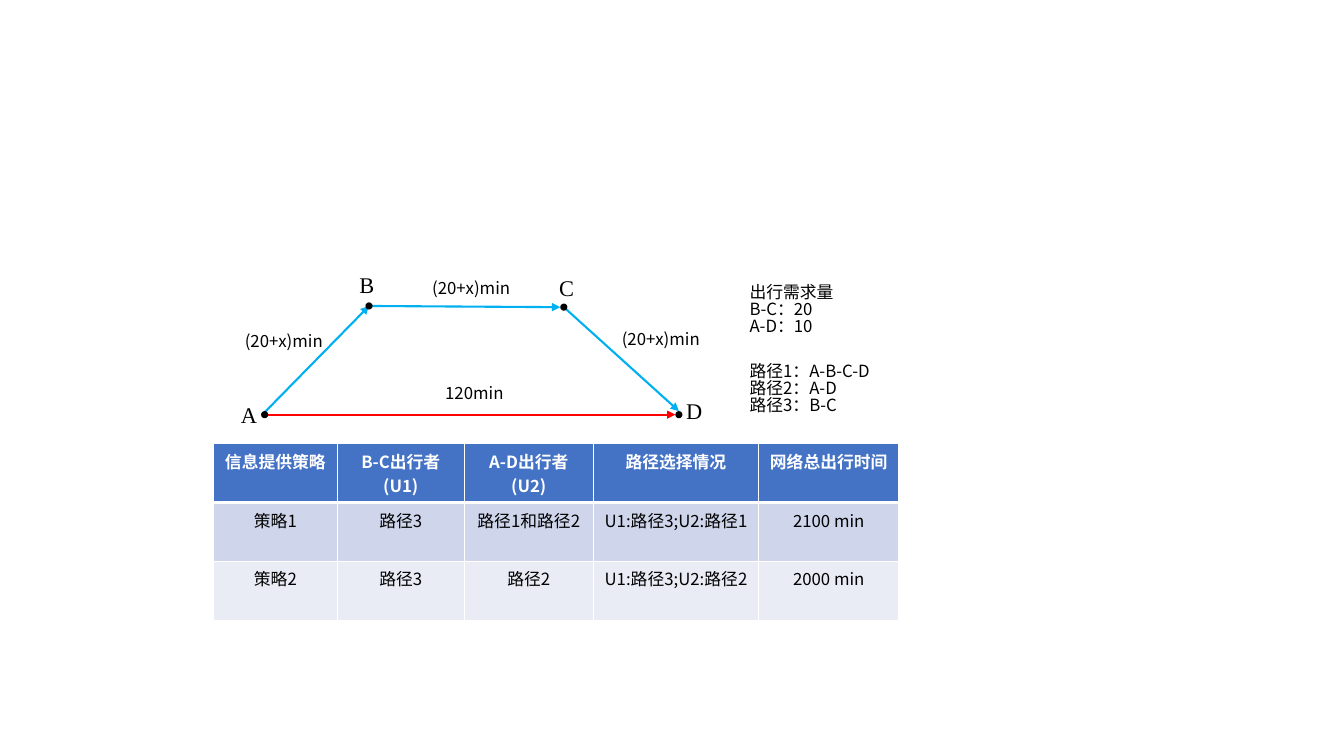
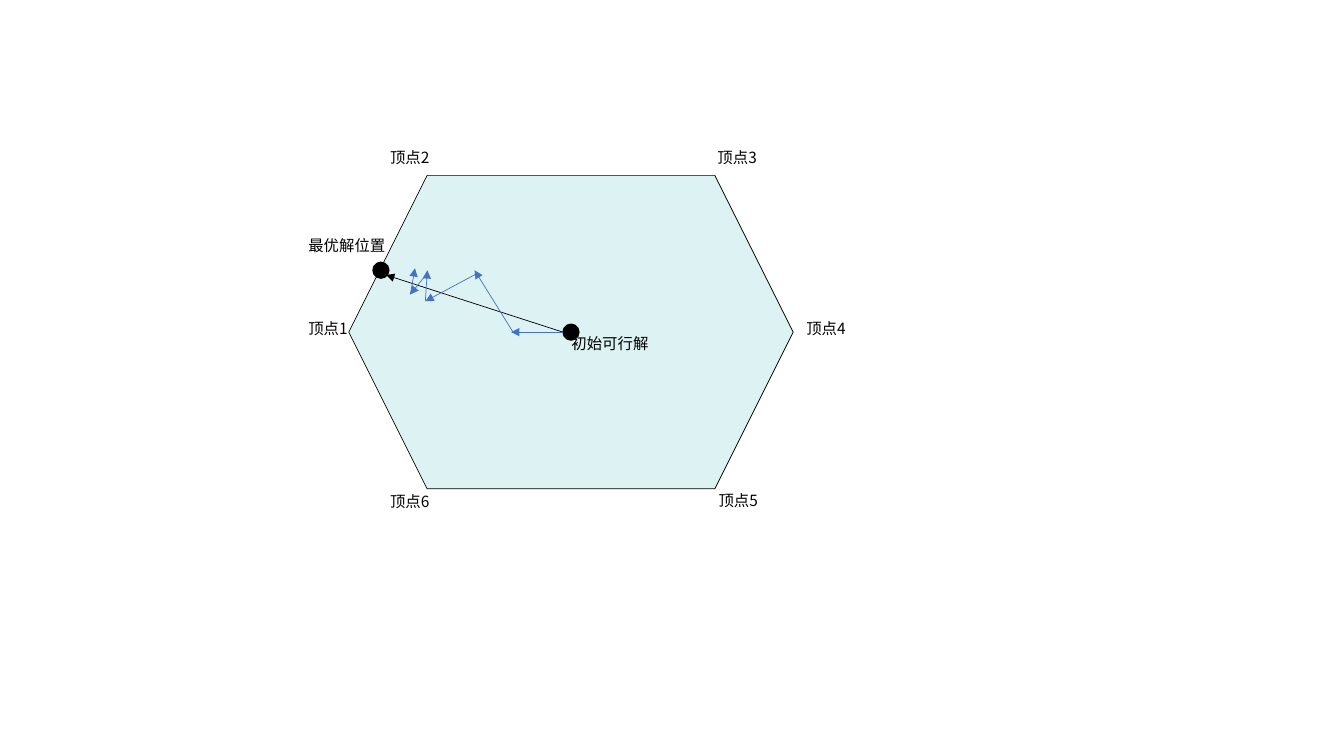
from lxml.etree import SubElement
from pptx import Presentation
from pptx.dml.color import RGBColor
from pptx.enum.shapes import MSO_CONNECTOR, MSO_SHAPE
from pptx.enum.text import MSO_AUTO_SIZE, PP_ALIGN
from pptx.oxml.ns import qn
from pptx.util import Cm, Pt

SANS = "Noto Sans CJK SC"
SERIF = "Times New Roman"
BLACK, WHITE = "000000", "FFFFFF"
BLUE, SKY, RED = "4472C4", "00B0F0", "FF0000"
PALE_TEAL = "DDF2F3"
ROW_FILLS = [BLUE, "CFD5EA", "E9EBF5"]
SANS_SPACING = 0.84


def colour(value):
    return RGBColor.from_string(value)


def style_paragraph(para, size, font=SANS, text_colour=BLACK, bold=False):
    para.font.name = font
    para.font.size = Pt(size)
    para.font.bold = bold
    para.font.color.rgb = colour(text_colour)
    properties = para._p.pPr.find(qn("a:defRPr"))
    SubElement(properties, qn("a:ea")).set("typeface", font)


def add_label(page, left, top, width, height, lines, size, font=SANS):
    box = page.shapes.add_textbox(Cm(left), Cm(top), Cm(width), Cm(height))
    frame = box.text_frame
    frame.word_wrap = True
    frame.auto_size = MSO_AUTO_SIZE.SHAPE_TO_FIT_TEXT
    frame.text = "\n".join(lines)
    for para in frame.paragraphs:
        style_paragraph(para, size, font)
        if font == SANS:
            para.line_spacing = SANS_SPACING


def add_outline(page, kind, left, top, width, height, fill, line_width=0):
    """Add a filled preset shape with a black line, or none at width 0."""
    shape = page.shapes.add_shape(kind, Cm(left), Cm(top), Cm(width), Cm(height))
    shape.shadow.inherit = False
    shape.fill.solid()
    shape.fill.fore_color.rgb = colour(fill)
    if line_width:
        shape.line.color.rgb = colour(BLACK)
        shape.line.width = Pt(line_width)
    else:
        shape.line.fill.background()


def add_dot(page, x, y, radius, line_width=0):
    add_outline(page, MSO_SHAPE.OVAL, x - radius, y - radius,
                2 * radius, 2 * radius, BLACK, line_width)


def add_arrow(page, start, end, line_colour, width):
    arrow = page.shapes.add_connector(
        MSO_CONNECTOR.STRAIGHT, *(Cm(value) for value in (*start, *end)))
    arrow.line.color.rgb = colour(line_colour)
    arrow.line.width = Pt(width)
    SubElement(arrow.line._get_or_add_ln(), qn("a:tailEnd")).set("type", "triangle")
    SubElement(arrow.element.spPr, qn("a:effectLst"))


def add_cell_borders(cell, bottom_width):
    properties = cell._tc.get_or_add_tcPr()
    widths = {"a:lnL": 1, "a:lnR": 1, "a:lnT": 1, "a:lnB": bottom_width}
    for position, (side, width) in enumerate(widths.items()):
        border = SubElement(properties, qn(side), w=str(Pt(width)))
        fill = SubElement(border, qn("a:solidFill"))
        SubElement(fill, qn("a:srgbClr")).set("val", WHITE)
        properties.insert(position, border)


def add_strategy_table(page, left, top):
    widths = [3.12, 3.2, 3.25, 4.17, 3.53]
    row_height = 0.58
    rows = [
        ["信息提供策略", "B-C出行者(U1)", "A-D出行者(U2)", "路径选择情况", "网络总出行时间"],
        ["策略1", "路径3", "路径1和路径2", "U1:路径3;U2:路径1", "2100 min"],
        ["策略2", "路径3", "路径2", "U1:路径3;U2:路径2", "2000 min"],
    ]
    table = page.shapes.add_table(
        len(rows), len(widths), Cm(left), Cm(top),
        Cm(sum(widths)), Cm(row_height * len(rows))).table
    for column, width in zip(table.columns, widths):
        column.width = Cm(width)
    for row_index, texts in enumerate(rows):
        header = row_index == 0
        table.rows[row_index].height = Cm(row_height)
        for column_index, text in enumerate(texts):
            cell = table.cell(row_index, column_index)
            cell.text = text
            cell.fill.solid()
            cell.fill.fore_color.rgb = colour(ROW_FILLS[row_index])
            add_cell_borders(cell, 3 if header else 1)
            para = cell.text_frame.paragraphs[0]
            para.alignment = PP_ALIGN.CENTER
            style_paragraph(para, 12, text_colour=WHITE if header else BLACK,
                            bold=header)


def add_network(page, left, top):
    """Draw the four-node road network with its demand and route lists."""
    radius = 0.09
    nodes = {"A": (0.87, 3.75), "B": (3.5, 1.01),
             "C": (8.41, 1.04), "D": (11.31, 3.75)}
    letters = {"A": (0.02, 3.28), "B": (3.01, 0.01),
               "C": (8.04, 0.08), "D": (11.24, 3.18)}
    links = [
        ("A", "B", SKY, (-0.06, 0), (0, 0)),
        ("B", "C", SKY, (0, 0), (-radius, 0)),
        ("C", "D", SKY, (0, 0), (0, -radius)),
        ("A", "D", RED, (radius, 0), (-radius, 0)),
    ]
    captions = [
        (5.17, 2.9, 2.06, 0.76, ["120min"]),
        (0.12, 1.58, 2.69, 0.76, ["(20+x)min"]),
        (4.84, 0.26, 2.69, 0.76, ["(20+x)min"]),
        (9.62, 1.53, 2.69, 0.76, ["(20+x)min"]),
        (12.84, 0.36, 3.33, 1.8, ["出行需求量", "B-C：20", "A-D：10"]),
        (12.84, 2.34, 3.53, 1.8, ["路径1：A-B-C-D", "路径2：A-D", "路径3：B-C"]),
    ]

    def link_end(name, offset):
        x, y = nodes[name]
        return left + x + offset[0], top + y + offset[1]

    for origin, target, line_colour, start_offset, end_offset in links:
        add_arrow(page, link_end(origin, start_offset),
                  link_end(target, end_offset), line_colour, 1.5)
    for name, (x, y) in nodes.items():
        add_dot(page, left + x, top + y, radius)
        letter_x, letter_y = letters[name]
        add_label(page, left + letter_x, top + letter_y, 0.69, 0.94,
                  [name], 16, SERIF)
    for x, y, width, height, lines in captions:
        add_label(page, left + x, top + y, width, height, lines, 12)


def add_feasible_region(page, left, top, width, height):
    """Draw the hexagon, its vertex names and the search towards the optimum."""
    dot_radius = 0.2
    vertex_labels = [(-1.27, 3.58), (0.79, -0.74), (9.04, -0.74),
                     (11.28, 3.58), (9.07, 7.9), (0.79, 7.92)]
    point_labels = [("初始可行解", 5.36, 3.94), ("最优解位置", -1.27, 1.47)]
    start = (width / 2, height / 2)
    optimum = (0.81, 2.39)
    departure = (start[0] - dot_radius, start[1])
    direct = (departure, (0.94, 2.51))
    steps = [
        (departure, (4.09, 3.95)),
        ((4.14, 3.95), (3.17, 2.39)),
        ((3.2, 2.49), (1.93, 3.17)),
        ((1.93, 3.17), (1.98, 2.39)),
        ((1.98, 2.46), (1.55, 3)),
        ((1.55, 3), (1.67, 2.34)),
    ]

    def place(point):
        return left + point[0], top + point[1]

    add_outline(page, MSO_SHAPE.HEXAGON, left, top, width, height, PALE_TEAL, 0.5)
    for number, point in enumerate(vertex_labels, 1):
        add_label(page, *place(point), 1.52, 0.74, [f"顶点{number}"], 11)
    for point in (start, optimum):
        add_dot(page, *place(point), dot_radius, 1)
    for text, x, y in point_labels:
        add_label(page, *place((x, y)), 2.62, 0.74, [text], 11)
    add_arrow(page, *map(place, direct), BLACK, 0.5)
    for step in steps:
        add_arrow(page, *map(place, step), BLUE, 0.5)


def main():
    deck = Presentation()
    deck.slide_width, deck.slide_height = Cm(33.87), Cm(19.05)
    blank = deck.slide_layouts[6]

    network_page = deck.slides.add_slide(blank)
    add_strategy_table(network_page, 5.38, 11.18)
    add_network(network_page, 5.8, 6.7)

    region_page = deck.slides.add_slide(blank)
    add_feasible_region(region_page, 8.79, 4.42, 11.2, 7.9)

    deck.save("out.pptx")


if __name__ == "__main__":
    main()
